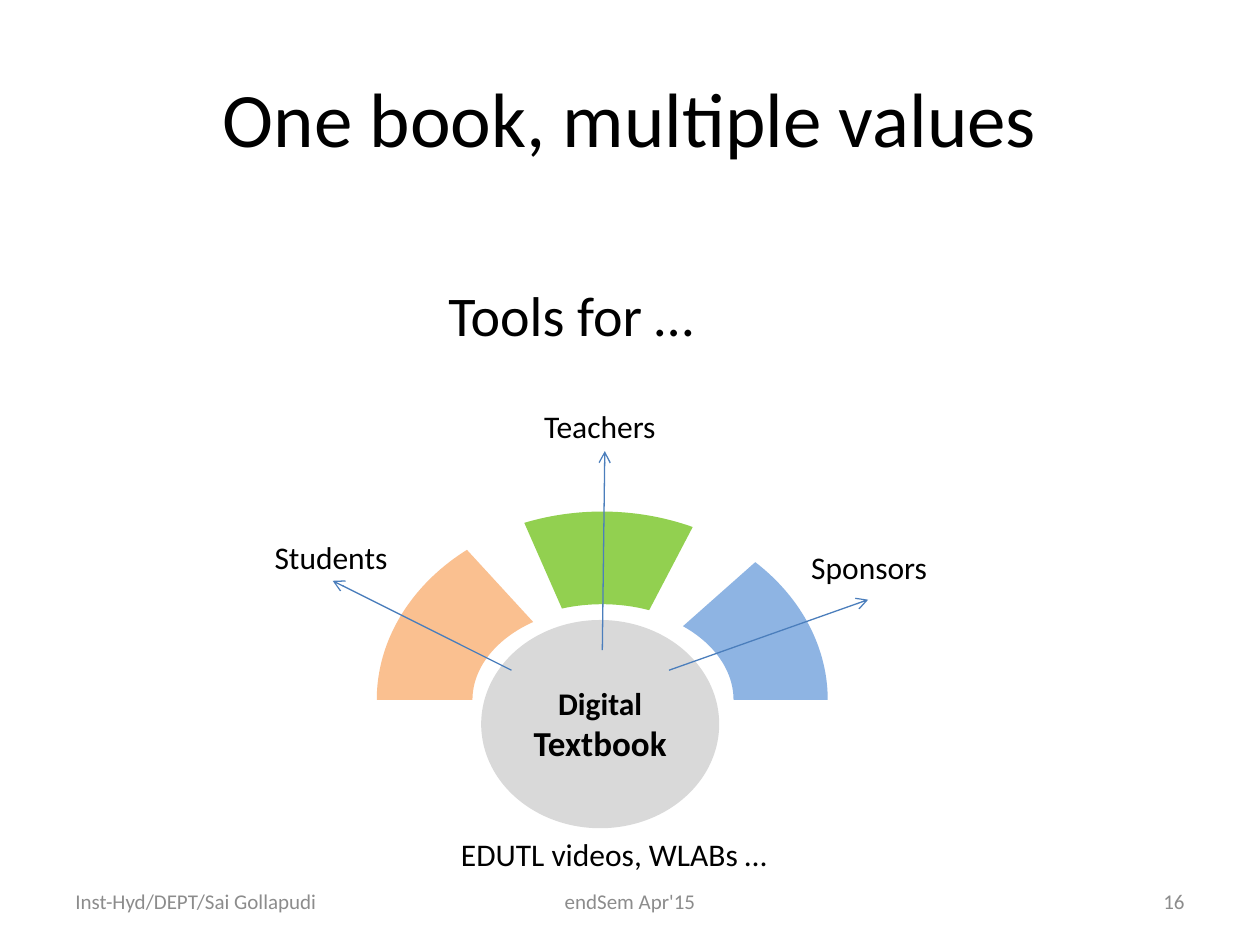
import pptx
import pptx.dml.color
import pptx.enum.shapes
import pptx.enum.text
import pptx.oxml
import pptx.oxml.ns
import pptx.util

Pt = pptx.util.Pt
ALIGN = pptx.enum.text.PP_ALIGN
ANCHOR = pptx.enum.text.MSO_ANCHOR
SHAPES = pptx.enum.shapes.MSO_SHAPE


def paint(color_format, color):
    """Set a fill, line or font colour from a hex string."""
    color_format.rgb = pptx.dml.color.RGBColor.from_string(color)


def write(shape, *pieces, size=18, color="000000", bold=False,
          align=ALIGN.LEFT, anchor=ANCHOR.TOP):
    """Write (text, size) pairs or plain strings as runs of one paragraph."""
    frame = shape.text_frame
    frame.word_wrap = True
    frame.vertical_anchor = anchor
    paragraph = frame.paragraphs[0]
    paragraph.alignment = align
    for piece in pieces:
        text, run_size = (piece, size) if isinstance(piece, str) else piece
        run = paragraph.add_run()
        run.text = text
        run.font.name = "Calibri"
        run.font.size = Pt(run_size)
        run.font.bold = bold
        paint(run.font.color, color)


deck = pptx.Presentation()
deck.slide_width, deck.slide_height = Pt(720), Pt(540)
slide = deck.slides.add_slide(deck.slide_layouts[5])
shapes = slide.shapes

title = shapes.title
title.left, title.top, title.width, title.height = Pt(36), Pt(21.6), Pt(648), Pt(90)
write(title, "One book, multiple values", size=44, align=ALIGN.CENTER,
      anchor=ANCHOR.MIDDLE)

# Textbook at the centre, with one arc per audience around it
textbook = shapes.add_shape(SHAPES.OVAL, Pt(275), Pt(354.3), Pt(136), Pt(119))
arcs = [
    (215.3, "FAC090", (108, 136.46, 0.254)),
    (213.8, "92D050", (147.759, 178.591, 0.246)),
    (212.4, "8EB4E3", (191.086, 0, 0.25)),
]
filled = [(textbook, "D9D9D9")]
for left, color, angles_and_depth in arcs:
    arc = shapes.add_shape(SHAPES.BLOCK_ARC, Pt(left), Pt(292.3), Pt(260.6), Pt(215.3))
    for index, value in enumerate(angles_and_depth):
        arc.adjustments[index] = value
    filled.append((arc, color))
for shape, color in filled:
    shape.shadow.inherit = False
    shape.fill.solid()
    paint(shape.fill.fore_color, color)
    shape.line.fill.background()
write(textbook, "Digital ", ("Textbook", 20), bold=True, align=ALIGN.CENTER,
      anchor=ANCHOR.MIDDLE)

# Arrows from the textbook to its audiences
for start_x, start_y, end_x, end_y in [
    (292.3, 383, 190.1, 331.9),
    (344.2, 371.5, 345.6, 257.8),
    (382.3, 383, 496.1, 342.7),
]:
    arrow = shapes.add_connector(pptx.enum.shapes.MSO_CONNECTOR.STRAIGHT,
                                 Pt(start_x), Pt(start_y), Pt(end_x), Pt(end_y))
    arrow.line.width = Pt(0.75)
    paint(arrow.line.color, "4B7EBC")
    line_xml = arrow.line._get_or_add_ln()
    line_xml.append(pptx.oxml.parse_xml(
        '<a:tailEnd %s type="arrow"/>' % pptx.oxml.ns.nsdecls("a")))
    arrow._element.spPr.append(pptx.oxml.parse_xml(
        "<a:effectLst %s/>" % pptx.oxml.ns.nsdecls("a")))

# Labels are a little wider than their text, so each stays on one line
for text, left, top, width, height, size in [
    ("Students", 149.8, 303.8, 84, 29, 18),
    ("Teachers", 303.8, 229, 84, 29, 18),
    ("Sponsors", 456.5, 309.6, 86, 29, 18),
    ("Tools for …", 249.1, 157, 162, 46, 32),
    ("EDUTL videos, WLABs …", 256.3, 473.8, 200, 29, 18),
]:
    label = shapes.add_textbox(Pt(left), Pt(top), Pt(width), Pt(height))
    write(label, text, size=size)

for text, left, width, align in [
    ("Inst-Hyd/DEPT/Sai Gollapudi", 36, 168, ALIGN.LEFT),
    ("endSem Apr'15", 246, 228, ALIGN.CENTER),
    ("16", 516, 168, ALIGN.RIGHT),
]:
    footer = shapes.add_textbox(Pt(left), Pt(500.5), Pt(width), Pt(28.8))
    write(footer, text, size=12, color="8C8C8C", align=align, anchor=ANCHOR.MIDDLE)

deck.save("out.pptx")
